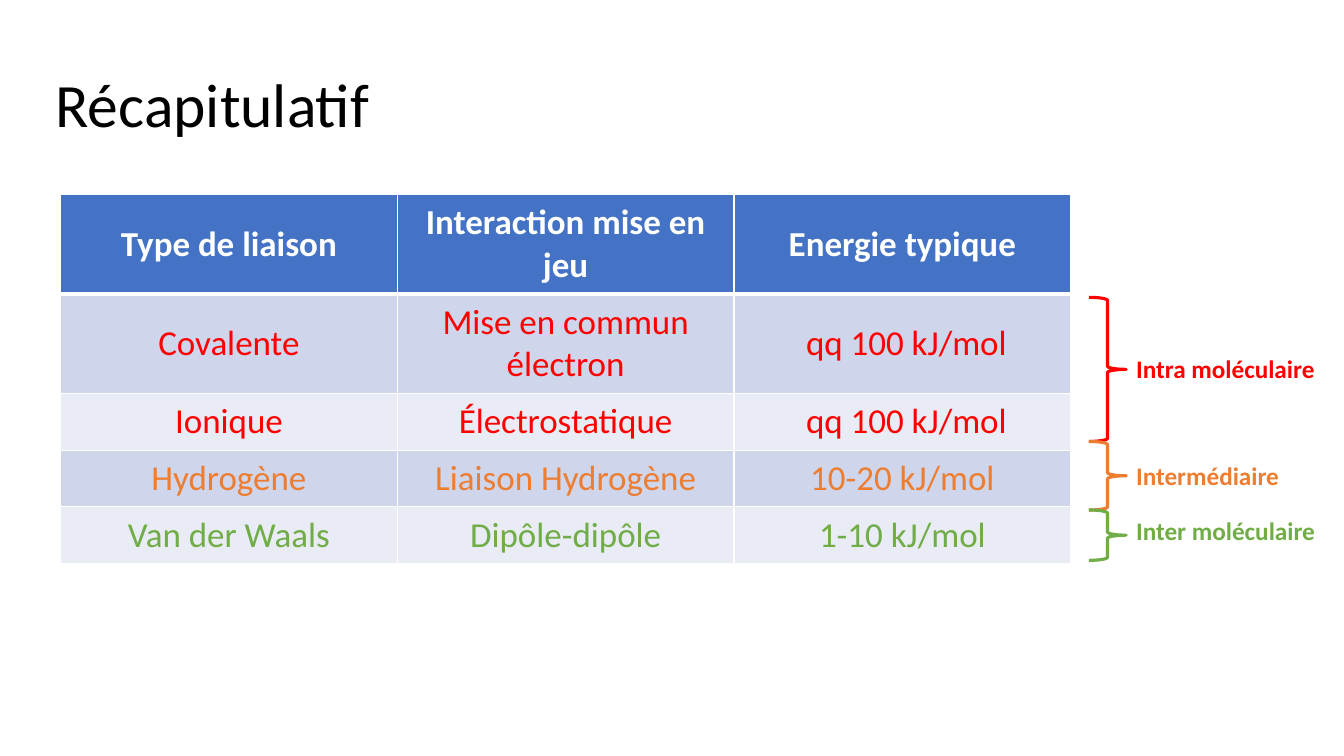
from dataclasses import dataclass

from lxml import etree
from pptx import Presentation
from pptx.dml.color import RGBColor
from pptx.enum.shapes import MSO_SHAPE
from pptx.enum.text import MSO_ANCHOR, PP_ALIGN
from pptx.oxml.ns import qn
from pptx.util import Inches, Pt

BRACE = MSO_SHAPE.RIGHT_BRACE
MIDDLE = MSO_ANCHOR.MIDDLE
LEFT, CENTER = PP_ALIGN.LEFT, PP_ALIGN.CENTER


@dataclass(frozen=True)
class Theme:
    font: str = "Calibri"
    black: str = "000000"
    white: str = "FFFFFF"
    head: str = "4472C4"
    bands: tuple = ("CFD5EA", "E9EBF5")
    red: str = "FF0000"
    orange: str = "ED7D31"
    green: str = "70AD47"
    title: int = 44
    cell: int = 25
    label: int = 18


THEME = Theme()
WIDE, HIGH = 13.33, 7.5
TALL, LOW = 0.98, 0.56

HEADS = ("Type de liaison", "Interaction mise en jeu", "Energie typique")
BONDS = (
    (THEME.red, TALL, ("Covalente", "Mise en commun électron", " qq 100 kJ/mol")),
    (THEME.red, LOW, ("Ionique", "Électrostatique", " qq 100 kJ/mol")),
    (THEME.orange, LOW, ("Hydrogène", "Liaison Hydrogène", "10-20 kJ/mol")),
    (THEME.green, LOW, ("Van der Waals", "Dipôle-dipôle", "1-10 kJ/mol")),
)
# Name, colour, brace height, label offset from the brace top
SCALES = (
    ("Intra moléculaire", THEME.red, 1.43, 0.51),
    ("Intermédiaire", THEME.orange, 0.68, 0.14),
    ("Inter moléculaire", THEME.green, 0.5, 0),
)


def rgb(code):
    return RGBColor.from_string(code)


def write(frame, text, size, color, bold=False, align=LEFT):
    para = frame.paragraphs[0]
    para.alignment = align
    run = para.add_run()
    run.text = text
    font = run.font
    font.name, font.size, font.bold = THEME.font, Pt(size), bold
    font.color.rgb = rgb(color)
    return para


def edge(cell, base):
    """Give a cell white borders, with the bottom one base points wide."""
    props = cell._tc.get_or_add_tcPr()
    widths = {"a:lnL": 1, "a:lnR": 1, "a:lnT": 1, "a:lnB": base}
    for spot, (tag, width) in enumerate(widths.items()):
        line = etree.Element(qn(tag), w=str(Pt(width)))
        fill = etree.SubElement(line, qn("a:solidFill"))
        etree.SubElement(fill, qn("a:srgbClr"), val=THEME.white)
        props.insert(spot, line)


def add_title(slide, box, text):
    title = slide.shapes.title
    title.left, title.top, title.width, title.height = map(Inches, box)
    frame = title.text_frame
    frame.margin_top = frame.margin_bottom = Inches(0.1)
    frame.vertical_anchor = MIDDLE
    write(frame, text, THEME.title, THEME.black).line_spacing = 0.9


def fill_row(cells, texts, back, color, bold=False, base=1):
    for cell, text in zip(cells, texts):
        cell.fill.solid()
        cell.fill.fore_color.rgb = rgb(back)
        cell.vertical_anchor = MIDDLE
        cell.margin_left = cell.margin_right = Inches(0.13)
        cell.margin_top = cell.margin_bottom = Inches(0.07)
        write(cell.text_frame, text, THEME.cell, color, bold, CENTER)
        edge(cell, base)


def add_grid(slide, box):
    shape = slide.shapes.add_table(len(BONDS) + 1, len(HEADS), *map(Inches, box))
    table = shape.table
    for col in table.columns:
        col.width = Inches(box[2] / len(HEADS))
    head, *body = table.rows
    head.height = Inches(TALL)
    fill_row(head.cells, HEADS, THEME.head, THEME.white, bold=True, base=3)
    for i, (row, (color, height, texts)) in enumerate(zip(body, BONDS)):
        row.height = Inches(height)
        fill_row(row.cells, texts, THEME.bands[i % 2], color)


def add_scales(slide, box):
    """Stack the braces down the box, each with its label to the right."""
    left, top, width, _ = box
    arm = 0.37
    for name, color, height, drop in SCALES:
        brace = slide.shapes.add_shape(
            BRACE, *map(Inches, (left, top, arm, height)))
        brace.shadow.inherit = False
        brace.fill.background()
        brace.line.color.rgb = rgb(color)
        brace.line.width = Pt(2.25)
        label = slide.shapes.add_textbox(
            *map(Inches, (left + arm, top + drop, width - arm, 0.4)))
        label.text_frame.word_wrap = True
        write(label.text_frame, name, THEME.label, color, bold=True)
        top += height


def main():
    deck = Presentation()
    deck.slide_width, deck.slide_height = Inches(WIDE), Inches(HIGH)
    slide = deck.slides.add_slide(deck.slide_layouts.get_by_name("Title Only"))
    add_title(slide, (0.45, 0.65, 12.42, 0.84), "Récapitulatif")
    add_grid(slide, (0.6, 1.93, 10.02, 3.64))
    add_scales(slide, (10.8, 2.95, 2.53, 2.61))
    deck.save("out.pptx")


if __name__ == "__main__":
    main()
